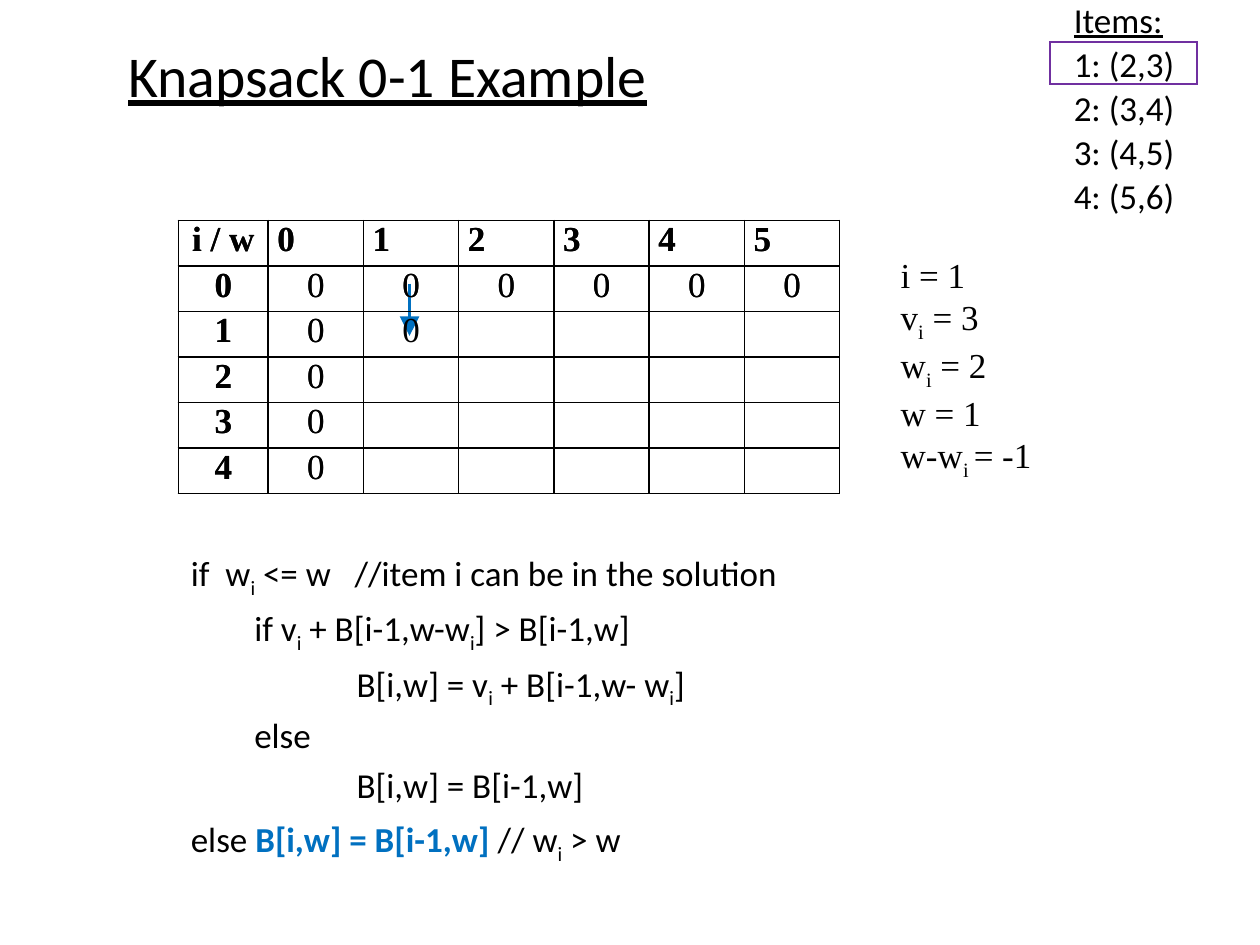
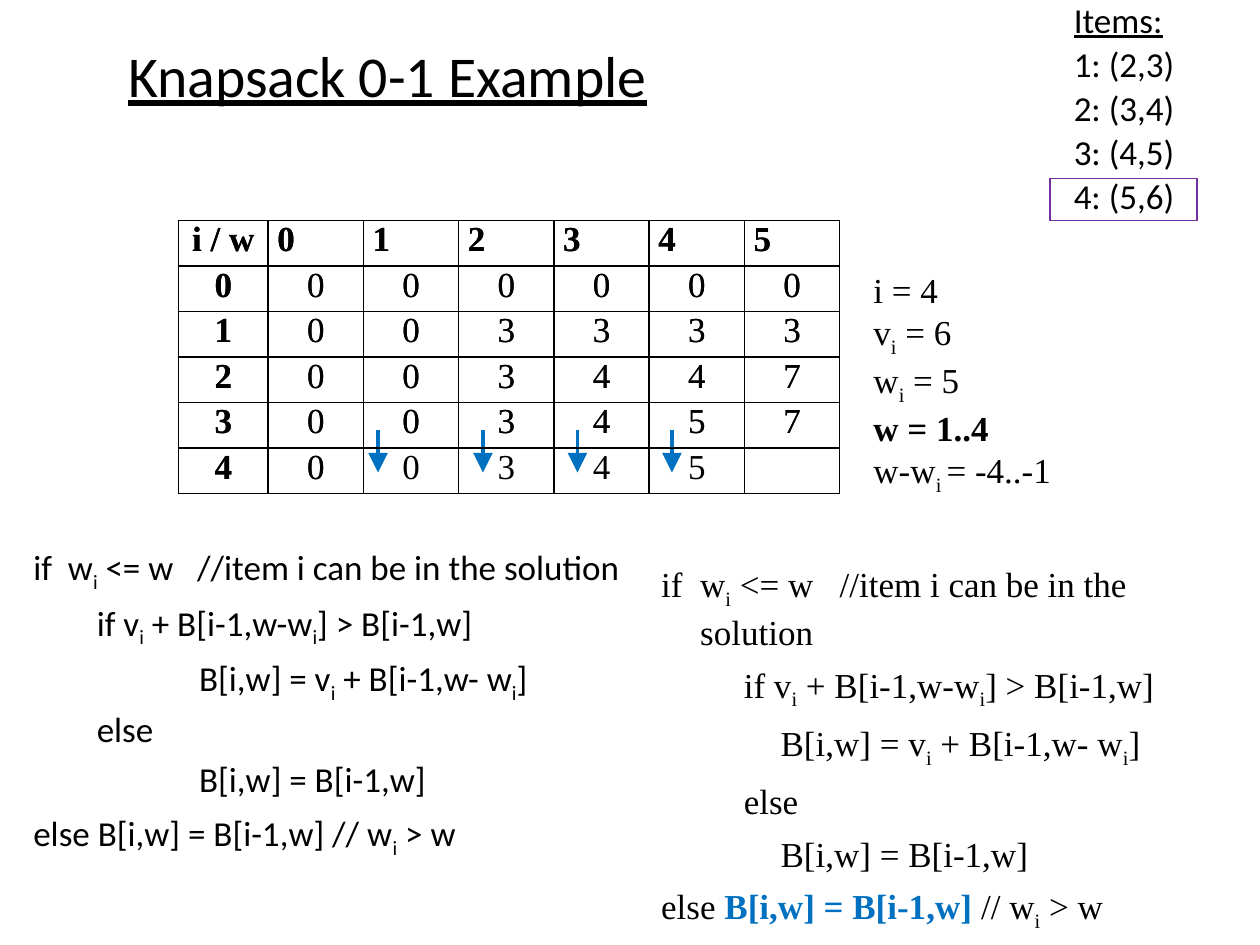
from dataclasses import dataclass

from lxml import etree
from pptx import Presentation
from pptx import util as u
from pptx.dml.color import RGBColor
from pptx.enum import shapes, text
from pptx.oxml import ns


@dataclass(frozen=True)
class Theme:
    ink: RGBColor = RGBColor(0, 0, 0)
    accent: RGBColor = RGBColor(0x00, 0x70, 0xC0)
    marker: RGBColor = RGBColor(0x70, 0x30, 0xA0)
    sans: str = "Calibri"
    serif: str = "Times New Roman"
    title_size: int = 33
    text_size: int = 20


@dataclass(frozen=True)
class ParaStyle:
    """Type and spacing of a text block; steps holds the left margin of each code depth."""
    font: str
    margin: float = 0
    hanging: float = 0
    line: float = 1
    before: float = 0
    steps: tuple = ()


THEME = Theme()
LIST_STYLE = ParaStyle(THEME.sans, 28.8, 22.3, 0.8, 6)
NOTE_STYLE = ParaStyle(THEME.serif)
CODE_STYLE = ParaStyle(THEME.sans, 13.5, 13.5, 0.9, 7, (0, 36.25, 94.75))
SERIF_CODE_STYLE = ParaStyle(THEME.serif, 28.8, 22.3, 1, 6, (0, 53.75, 74.75))

ITEMS = ["Items:", "1: (2,3)", "2: (3,4)", "3: (4,5)", "4: (5,6)"]
CAPACITIES = range(6)
# Each line is its depth and text; _..._ is lowered and *...* is strong.
CODE = [
    (0, "if  w_i_ <= w   //item i can be in the solution"),
    (1, "if v_i_ + B[i-1,w-w_i_] > B[i-1,w]"),
    (2, "B[i,w] = v_i_ + B[i-1,w- w_i_]"),
    (1, "else"),
    (2, "B[i,w] = B[i-1,w]"),
]
LAST_LINE = (0, "else B[i,w] = B[i-1,w] // w_i_ > w")
ACTIVE_LAST_LINE = (0, "else *B[i,w] = B[i-1,w] *// w_i_ > w")


def style_font(font, name, size=THEME.text_size, bold=False, color=THEME.ink):
    font.name, font.size, font.bold = name, u.Pt(size), bold
    font.color.rgb = color


def add_spans(para, line, name, strong_color):
    for i, section in enumerate(line.split("*")):
        strong = i % 2 == 1
        for j, words in enumerate(section.split("_")):
            if not words:
                continue
            span = para.add_run()
            span.text = words
            style_font(span.font, name, bold=strong,
                       color=strong_color if strong else THEME.ink)
            if j % 2 == 1:
                span.font._element.set("baseline", "-25000")


def add_text(page, area, lines, style, strong_color=THEME.ink):
    """Add a text box of (depth, text) lines and return its frame."""
    frame = page.shapes.add_textbox(*map(u.Pt, area)).text_frame
    frame.word_wrap = True
    for number, (depth, line) in enumerate(lines):
        para = frame.add_paragraph() if number else frame.paragraphs[0]
        para.line_spacing = style.line
        para.space_before = u.Pt(style.before if number else 0)
        margin, hanging = style.margin, style.hanging
        if depth:
            margin, hanging = style.steps[depth], 0
        properties = para._p.get_or_add_pPr()
        properties.set("marL", str(u.Pt(margin)))
        properties.set("indent", str(-u.Pt(hanging)))
        add_spans(para, line, style.font, strong_color)
    return frame


def add_title(page, words):
    title = page.shapes.title
    title.left, title.top, title.width, title.height = map(u.Pt, (66, 0, 590, 90))
    frame = title.text_frame
    frame.text = words
    frame.auto_size = text.MSO_AUTO_SIZE.NONE
    frame.vertical_anchor = text.MSO_ANCHOR.MIDDLE
    para = frame.paragraphs[0]
    para.alignment = text.PP_ALIGN.LEFT
    para.line_spacing = 0.9
    style_font(para.runs[0].font, THEME.sans, THEME.title_size)
    para.runs[0].font.underline = True


def add_items(page):
    frame = add_text(page, (600, 0, 84, 132), [(0, item) for item in ITEMS], LIST_STYLE)
    frame.paragraphs[0].runs[0].font.underline = True


def add_item_marker(page, item):
    area = (600, 24 + 26 * (item - 1), 84, 24)
    box = page.shapes.add_shape(shapes.MSO_SHAPE.RECTANGLE, *map(u.Pt, area))
    box.shadow.inherit = False
    box.fill.background()
    box.line.color.rgb = THEME.marker
    box.line.width = u.Pt(1)
    etree.SubElement(box.line._ln, ns.qn("a:miter"), lim="800000")


def add_arrow(page, x, top, bottom):
    arrow = page.shapes.add_connector(
        shapes.MSO_CONNECTOR.STRAIGHT, *map(u.Pt, (x, top, x, bottom)))
    arrow.line.color.rgb = THEME.accent
    arrow.line.width = u.Pt(2.25)
    etree.SubElement(arrow.line._ln, ns.qn("a:tailEnd"),
                     type="triangle", w="lg", len="lg")
    etree.SubElement(arrow._element.spPr, ns.qn("a:effectLst"))


def draw_borders(cell):
    properties = cell._tc.get_or_add_tcPr()
    for side in ("lnL", "lnR", "lnT", "lnB"):
        line = etree.SubElement(properties, ns.qn(f"a:{side}"), w=str(u.Pt(1)))
        fill = etree.SubElement(line, ns.qn("a:solidFill"))
        etree.SubElement(fill, ns.qn("a:srgbClr"), val=str(THEME.ink))


def add_value_table(page, values):
    """Draw the table B[i,w]; a short row leaves its last cells empty."""
    rows = [["i / w", *CAPACITIES]] + [[i, *row] for i, row in enumerate(values)]
    table = page.shapes.add_table(
        len(rows), len(rows[0]), *map(u.Pt, (102, 126, 378, 156))).table
    for number, column in enumerate(table.columns):
        column.width = u.Pt(54.45 if number else 51.3)
    for i, row in enumerate(rows):
        table.rows[i].height = u.Pt(26)
        for j in range(len(table.columns)):
            cell = table.cell(i, j)
            draw_borders(cell)
            cell.fill.background()
            cell.margin_left = cell.margin_right = u.Pt(5.2)
            cell.margin_top = cell.margin_bottom = 0
            if j >= len(row):
                continue
            cell.text = str(row[j])
            para = cell.text_frame.paragraphs[0]
            is_capacity = i == 0 and j > 0
            para.alignment = text.PP_ALIGN.LEFT if is_capacity else text.PP_ALIGN.CENTER
            style_font(para.runs[0].font, THEME.serif, bold=i == 0 or j == 0)


def add_step(deck, item, known, found, arrows, notes, notes_area):
    """Add a page: the known values, then arrows, then the table with the last row found."""
    page = deck.slides.add_slide(deck.slide_layouts[5])
    add_title(page, "Knapsack 0-1 Example")
    add_items(page)
    add_value_table(page, known)
    add_text(page, notes_area, [(0, note) for note in notes], NOTE_STYLE)
    for arrow in arrows:
        add_arrow(page, *arrow)
    add_value_table(page, known[:item] + [found] + known[item + 1:])
    add_item_marker(page, item)
    return page


def main():
    deck = Presentation()
    deck.slide_width, deck.slide_height = u.Pt(720), u.Pt(540)

    first = add_step(
        deck, 1, [[0] * 6, [0], [0], [0], [0]], [0, 0], [(234, 162, 192)],
        ["i = 1", "v_i_ = 3", "w_i_ = 2", "w = 1", "w-w_i _= -1"],
        (507.6, 141.6, 92, 128))
    add_text(first, (102, 312, 510, 198), CODE + [ACTIVE_LAST_LINE],
             CODE_STYLE, THEME.accent)

    last = add_step(
        deck, 4,
        [[0] * 6, [0, 0, 3, 3, 3, 3], [0, 0, 3, 4, 4, 7], [0, 0, 3, 4, 5, 7], [0]],
        [0, 0, 3, 4, 5],
        [(x, 246, 270) for x in (216, 276, 330, 384)],
        ["i = 4", "v_i_ = 6", "w_i_ = 5", "*w = 1..4*", "w-w_i _= -4..-1"],
        (492, 150, 118, 128))
    add_text(last, (12, 308.75, 354, 198), CODE + [LAST_LINE], CODE_STYLE)
    add_text(last, (364.25, 318, 355.75, 198), CODE + [ACTIVE_LAST_LINE],
             SERIF_CODE_STYLE, THEME.accent)

    deck.save("out.pptx")


if __name__ == "__main__":
    main()
